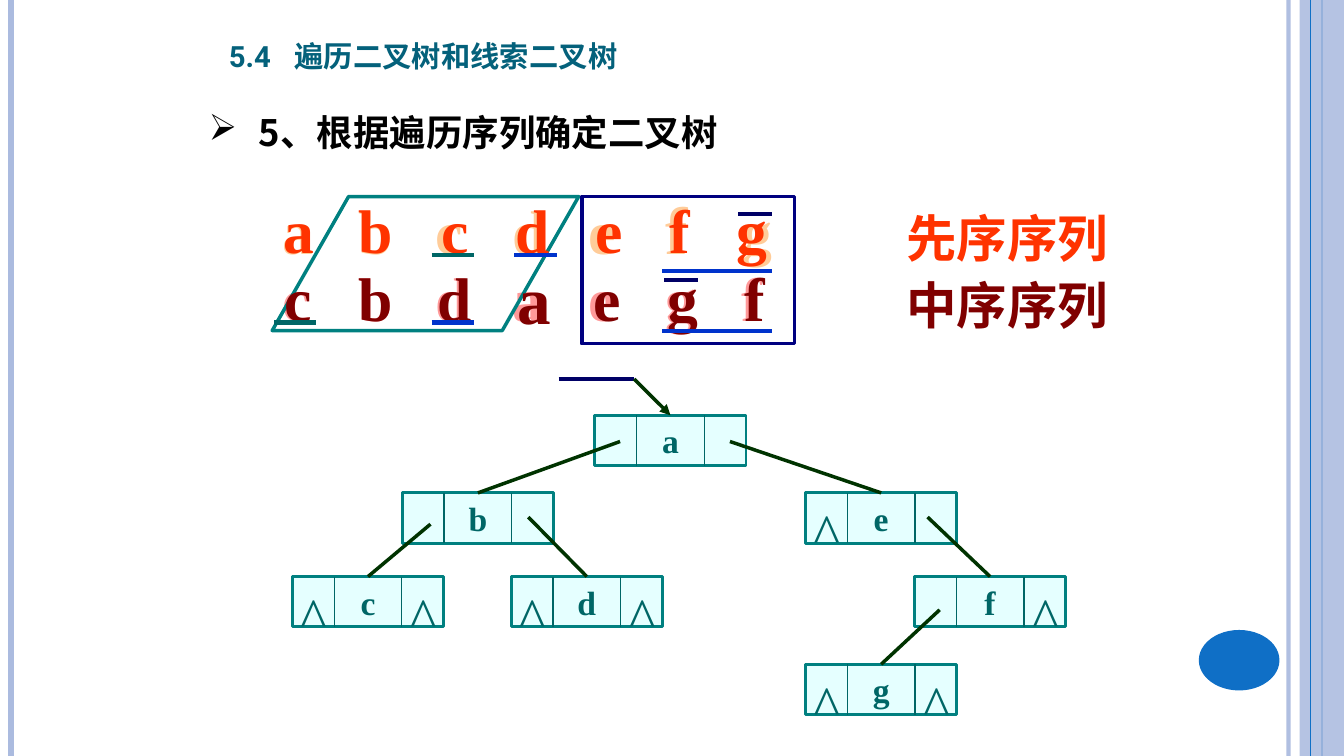
from lxml import etree
from pptx import Presentation
from pptx.dml.color import RGBColor
from pptx.enum.shapes import MSO_CONNECTOR, MSO_SHAPE
from pptx.enum.text import MSO_ANCHOR, MSO_AUTO_SIZE, PP_ALIGN
from pptx.oxml.ns import qn
from pptx.util import Inches, Pt

STRAIGHT = MSO_CONNECTOR.STRAIGHT
RECT, OVAL, SLANTED = MSO_SHAPE.RECTANGLE, MSO_SHAPE.OVAL, MSO_SHAPE.PARALLELOGRAM
TOP, MIDDLE, BOTTOM = MSO_ANCHOR.TOP, MSO_ANCHOR.MIDDLE, MSO_ANCHOR.BOTTOM
LEFT, CENTER = PP_ALIGN.LEFT, PP_ALIGN.CENTER
NO_FIT = MSO_AUTO_SIZE.NONE
SERIF, HEADING, SANS = "Times New Roman", "Roboto", "Noto Sans CJK SC"
TOP_SITE = 0

COLORS = {
    "bar": "ABBBDF", "accent": "0F6FC6", "title": "04617B", "black": "000000",
    "pale_red": "FFCC99", "pale_dark": "FF9999", "red": "FF3300", "dark": "800000",
    "teal": "008080", "navy": "000080", "ink": "006666", "cell": "CCFFFF",
    "edge": "003300", "blue": "0033CC", "deep": "000066",
}


class Board:
    """A slide on a grid whose columns and rows are a tenth of an inch."""
    CELL = Inches(0.1)

    def __init__(self, prs):
        self.slide = prs.slides.add_slide(prs.slide_layouts[5])

    def grid(self, *lengths):
        return [round(n * self.CELL) for n in lengths]

    def color(self, name):
        return RGBColor.from_string(COLORS[name])

    def fade(self, fill_parent, alpha):
        tint = next(fill_parent.iter(qn("a:srgbClr")))
        etree.SubElement(tint, qn("a:alpha")).set("val", str(alpha * 1000))

    def line(self, start, end, color, width, alpha=None, arrow=False, onto=None):
        link = self.slide.shapes.add_connector(STRAIGHT, *self.grid(*start, *end))
        if onto is not None:
            link.end_connect(onto, TOP_SITE)
        link.line.color.rgb = self.color(color)
        link.line.width = Pt(width)
        props = link._element.spPr.find(qn("a:ln"))
        if alpha:
            self.fade(props, alpha)
        if arrow:
            etree.SubElement(props, qn("a:tailEnd")).set("type", "triangle")
        etree.SubElement(link._element.spPr, qn("a:effectLst"))

    def shape(self, kind, box, fill=None, alpha=None, line=None, width=1):
        shape = self.slide.shapes.add_shape(kind, *self.grid(*box))
        shape.shadow.inherit = False
        if fill:
            shape.fill.solid()
            shape.fill.fore_color.rgb = self.color(fill)
            if alpha:
                self.fade(shape._element.spPr, alpha)
        else:
            shape.fill.background()
        if line:
            shape.line.color.rgb = self.color(line)
            shape.line.width = Pt(width)
        else:
            shape.line.fill.background()
        return shape

    def fill_in(self, paragraph, text, size, color, font=SERIF, bold=True,
                align=LEFT, spacing=None, bullet=None, tabs=()):
        for piece, piece_size in [(text, None)] if isinstance(text, str) else text:
            run = paragraph.add_run()
            run.text = piece
            if piece_size:
                run.font.size = Pt(piece_size)
        paragraph.alignment = align
        if spacing:
            paragraph.line_spacing = spacing
        props = paragraph._p.get_or_add_pPr()
        if bullet:
            props.set("marL", str(Inches(0.5)))
            props.set("indent", str(-Inches(0.5)))
            etree.SubElement(props, qn("a:buChar")).set("char", bullet)
        if tabs:
            stops = etree.SubElement(props, qn("a:tabLst"))
            for position in self.grid(*tabs):
                stop = etree.SubElement(stops, qn("a:tab"))
                stop.set("pos", str(position))
                stop.set("algn", "l")
        paragraph.font.size = Pt(size)
        paragraph.font.name = font
        paragraph.font.bold = bold
        paragraph.font.color.rgb = self.color(color)

    def frame(self, shape, anchor=TOP):
        frame = shape.text_frame
        frame.word_wrap = True
        frame.auto_size = NO_FIT
        frame.vertical_anchor = anchor
        return frame

    def text(self, box, text, size, color, **style):
        frame = self.frame(self.slide.shapes.add_textbox(*self.grid(*box)))
        self.fill_in(frame.paragraphs[0], text, size, color, **style)
        return frame

    def title(self, box, text, size, color):
        title = self.slide.shapes.title
        title.left, title.top, title.width, title.height = self.grid(*box)
        paragraph = self.frame(title, BOTTOM).paragraphs[0]
        self.fill_in(paragraph, text, size, color, font=HEADING, tabs=[6.5])
        for run in paragraph.runs:
            run._r.get_or_add_rPr().set("cap", "small")

    def node(self, letter, column, row, null_cells):
        box = self.shape(RECT, (column, row, 15, 5), "cell", 50, "teal", 2)
        self.fill_in(self.frame(box, MIDDLE).paragraphs[0], letter, 24, "ink", align=CENTER)
        for divider in (4.15, 10.85):
            self.line((column + divider, row), (column + divider, row + 5), "ink", 1)
        for side in null_cells:
            offset = {"L": -0.2, "R": 10.7}[side]
            self.text((column + offset, row, 5.2, 7.7), "^", 40, "ink", bold=False)
        return box


def main():
    prs = Presentation()
    prs.slide_width, prs.slide_height = Inches(13.33), Inches(7.5)
    board = Board(prs)

    # Side bars and page marker
    board.line((127.8, 0), (127.8, 75), "bar", 3, alpha=93)
    board.line((1.1, 0), (1.1, 75), "bar", 4.5)
    board.line((131.1, 0), (131.1, 75), "accent", 1.5)
    board.shape(RECT, (128.9, 0, 4.4, 75), "bar", 87)
    board.line((130, 0), (130, 75), "accent", 0.75)
    board.shape(OVAL, (118.9, 62.5, 8, 6), "accent")

    # Headings
    board.title((21.7, 1.8, 62, 6.1), "5.4\t遍历二叉树和线索二叉树", 26.2, "title")
    board.text((19.7, 9.6, 53.5, 6.2), "5、根据遍历序列确定二叉树", 26, "black",
               font=SANS, spacing=1.2, bullet="➢")

    # Pale letters behind both sequences
    stops = [7.6 * n for n in range(1, 7)]
    preorder_shade = [("a\tb\tc\td\te\t", None), ("f", 48), ("\tg", None)]
    board.text((27, 18.1, 55.2, 9.1), preorder_shade, 44, "pale_red", tabs=stops)
    board.text((27, 25.3, 55.2, 8.4), "\t".join("cbdaegf"), 44, "pale_dark", tabs=stops)

    # Left and right subtree outlines
    left_subtree = board.shape(SLANTED, (27, 19.5, 30.4, 13.3), line="teal", width=2.5)
    left_subtree.adjustments[0] = 0.57
    board.shape(RECT, (57.7, 19.5, 21.1, 14.6), line="navy", width=2.5)

    # Letters of both sequences
    sequences = [
        ("abcdefg", (27.1, 34.6, 42.8, 50.1, 58.1, 65.4, 72.1), 18.6, "red"),
        ("cbdaegf", (27.2, 34.6, 42.4, 50.3, 57.9, 65.2, 72.9), 25.3, "dark"),
    ]
    for letters, columns, row, color in sequences:
        for letter, column in zip(letters, columns):
            large = (letter, color) == ("a", "dark")
            board.text((column, row - 0.3 * large, 6, 8.4), letter,
                       48 if large else 44, color)

    # Tree nodes: column, row, cells holding a null mark
    tree = {
        "a": (59, 41.2, ""), "b": (39.9, 48.9, ""), "c": (29, 57.2, "LR"),
        "d": (50.7, 57.2, "LR"), "e": (79.9, 48.9, "L"), "f": (90.7, 57.2, "R"),
        "g": (79.9, 65.9, "LR"),
    }
    nodes = {letter: board.node(letter, *place) for letter, place in tree.items()}

    # Tree edges: parent, child, start inside the parent
    edges = [("a", "b", 2.5, 2.6), ("a", "e", 13.4, 2.6), ("b", "c", 2.8, 3.1),
             ("b", "d", 12.5, 2.4), ("e", "f", 12.1, 2.4), ("f", "g", 2.5, 3.3)]
    for parent, child, across, down in edges:
        column, row, _ = tree[parent]
        start = (column + across, row + down)
        board.line(start, start, "edge", 2.5, onto=nodes[child])

    # Root pointer
    board.line((55.4, 37.6), (62.9, 37.6), "deep", 3)
    board.line((62.9, 37.6), (66.5, 41.2), "edge", 2.5, arrow=True, onto=nodes["a"])

    # Strokes under and over the letters: left, right, row, color
    strokes = [
        (42.8, 47, 25.3, "ink"), (51, 55.2, 25.3, "blue"), (65.7, 76.6, 26.9, "blue"),
        (27.2, 31.3, 32, "ink"), (42.8, 47, 32, "blue"), (65.7, 76.6, 32.8, "blue"),
        (73.2, 76.6, 21.2, "deep"), (65.9, 69.2, 27.8, "deep"),
    ]
    for left, right, row, color in strokes:
        board.line((left, row), (right, row), color, 3)

    # Sequence names
    names = board.text((88.9, 19.5, 22.3, 14.3), "先序序列", 36, "red", spacing=1.1)
    board.fill_in(names.add_paragraph(), "中序序列", 36, "dark", spacing=1.1)

    prs.save("out.pptx")


if __name__ == "__main__":
    main()
